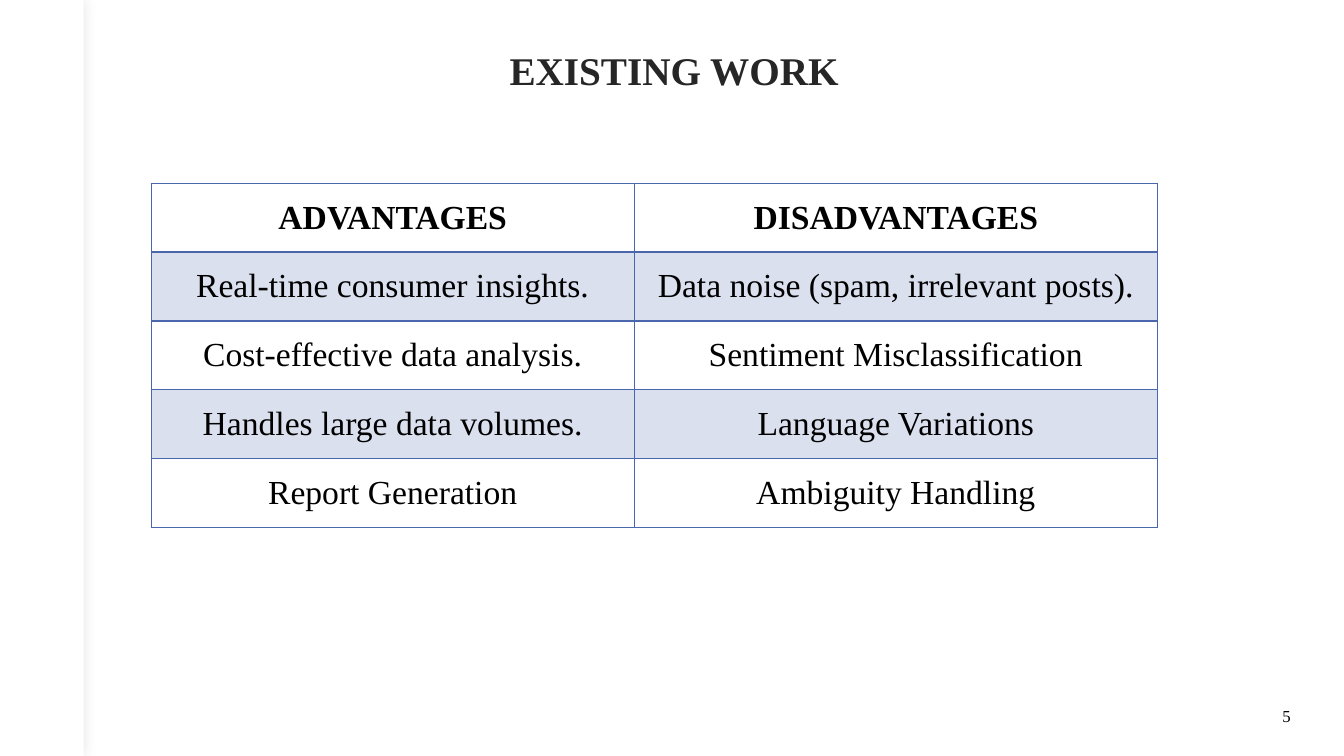
from dataclasses import dataclass

from lxml.etree import SubElement
from pptx import Presentation
from pptx.dml.color import RGBColor
from pptx.enum.shapes import MSO_SHAPE
from pptx.enum.text import MSO_ANCHOR, MSO_AUTO_SIZE, PP_ALIGN
from pptx.oxml.ns import qn
from pptx.slide import Slide
from pptx.table import _Cell
from pptx.text.text import TextFrame
from pptx.util import Inches, Pt


@dataclass(frozen=True)
class Theme:
    font: str = "Times New Roman"
    white: str = "FFFFFF"
    black: str = "000000"
    title: str = "262626"
    accent: str = "4A66AC"
    title_size: int = 28
    table_size: int = 24
    number_size: int = 12
    band_opacity: int = 20
    shadow_opacity: int = 10


@dataclass(frozen=True)
class Box:
    left: float
    top: float
    width: float
    height: float

    def lengths(self) -> tuple[Inches, ...]:
        return tuple(Inches(n) for n in (self.left, self.top, self.width, self.height))


@dataclass(frozen=True)
class TextStyle:
    size: int
    color: str
    bold: bool = False
    align: PP_ALIGN = PP_ALIGN.CENTER
    line_spacing: float = 1.0


@dataclass(frozen=True)
class TextLabel:
    text: str
    box: Box
    style: TextStyle
    frame_format: dict


THEME = Theme()
PANEL = Box(0, 0, 0.83, 7.5)
TABLE = Box(1.5, 1.82, 9.98, 3.41)
COLUMN_WIDTHS = (4.79, 5.19)
ROWS = (
    ("ADVANTAGES", "DISADVANTAGES"),
    ("Real-time consumer insights.", "Data noise (spam, irrelevant posts)."),
    ("Cost-effective data analysis.", "Sentiment Misclassification"),
    ("Handles large data volumes.", "Language Variations"),
    ("Report Generation", "Ambiguity Handling"),
)
LABELS = (
    TextLabel(
        "EXISTING WORK",
        Box(1.06, 0.5, 11.25, 0.92),
        TextStyle(THEME.title_size, THEME.title, True, line_spacing=0.8),
        {"word_wrap": True, "vertical_anchor": MSO_ANCHOR.TOP},
    ),
    TextLabel(
        "5",
        Box(12.62, 6.95, 0.3, 0.3),
        TextStyle(THEME.number_size, THEME.black, align=PP_ALIGN.LEFT),
        {
            "word_wrap": False,
            "vertical_anchor": MSO_ANCHOR.MIDDLE,
            "auto_size": MSO_AUTO_SIZE.SHAPE_TO_FIT_TEXT,
        },
    ),
)


def add_color(parent, color: str, opacity: int = 100) -> None:
    element = SubElement(parent, qn("a:srgbClr"), val=color)
    if opacity < 100:
        SubElement(element, qn("a:alpha"), val=str(opacity * 1000))


def write_text(frame: TextFrame, text: str, style: TextStyle) -> None:
    paragraph = frame.paragraphs[0]
    paragraph.alignment = style.align
    paragraph.line_spacing = style.line_spacing
    run = paragraph.add_run()
    run.text = text
    font_format = {"name": THEME.font, "size": Pt(style.size), "bold": style.bold}
    for name, value in font_format.items():
        setattr(run.font, name, value)
    run.font.color.rgb = RGBColor.from_string(style.color)


def add_label(slide: Slide, label: TextLabel) -> None:
    frame = slide.shapes.add_textbox(*label.box.lengths()).text_frame
    for name, value in label.frame_format.items():
        setattr(frame, name, value)
    write_text(frame, label.text, label.style)


def add_side_panel(slide: Slide) -> None:
    """Draw the white strip whose soft shadow marks the left margin."""
    shape = slide.shapes.add_shape(MSO_SHAPE.RECTANGLE, *PANEL.lengths())
    shape.fill.solid()
    shape.fill.fore_color.rgb = RGBColor.from_string(THEME.white)
    shape.line.fill.background()
    shape.shadow.inherit = False
    effects = shape._element.spPr.find(qn("a:effectLst"))
    shadow = SubElement(
        effects, qn("a:outerShdw"), blurRad=str(Pt(10)), dist="0", dir="0"
    )
    add_color(shadow, THEME.black, THEME.shadow_opacity)


def set_borders(cell: _Cell, widths: dict[str, int]) -> None:
    properties = cell._tc.get_or_add_tcPr()
    for side, width in widths.items():
        line = SubElement(properties, qn(f"a:ln{side}"), w=str(Pt(width)))
        add_color(SubElement(line, qn("a:solidFill")), THEME.accent)


def fill_cell(cell: _Cell, banded: bool) -> None:
    if not banded:
        cell.fill.background()
        return
    cell.fill.solid()
    cell.fill.fore_color.rgb = RGBColor.from_string(THEME.accent)
    color = cell._tc.tcPr.find(f"{qn('a:solidFill')}/{qn('a:srgbClr')}")
    SubElement(color, qn("a:alpha"), val=str(THEME.band_opacity * 1000))


def add_comparison_table(slide: Slide) -> None:
    table = slide.shapes.add_table(
        len(ROWS), len(COLUMN_WIDTHS), *TABLE.lengths()
    ).table
    table.first_row = table.horz_banding = False
    for column, width in zip(table.columns, COLUMN_WIDTHS):
        column.width = Inches(width)
    for row_index, texts in enumerate(ROWS):
        header = row_index == 0
        borders = {
            "L": 1,
            "R": 1,
            "T": 2 if row_index == 1 else 1,
            "B": 2 if header else 1,
        }
        for column_index, text in enumerate(texts):
            cell = table.cell(row_index, column_index)
            cell.vertical_anchor = MSO_ANCHOR.MIDDLE
            set_borders(cell, borders)
            fill_cell(cell, banded=row_index % 2 == 1)
            style = TextStyle(THEME.table_size, THEME.black, header)
            write_text(cell.text_frame, text, style)


def main() -> None:
    presentation = Presentation()
    presentation.slide_width = Inches(13.33)
    presentation.slide_height = Inches(7.5)
    slide = presentation.slides.add_slide(presentation.slide_layouts[6])
    slide.background.fill.solid()
    slide.background.fill.fore_color.rgb = RGBColor.from_string(THEME.white)
    add_side_panel(slide)
    add_comparison_table(slide)
    for label in LABELS:
        add_label(slide, label)
    presentation.save("out.pptx")


if __name__ == "__main__":
    main()
